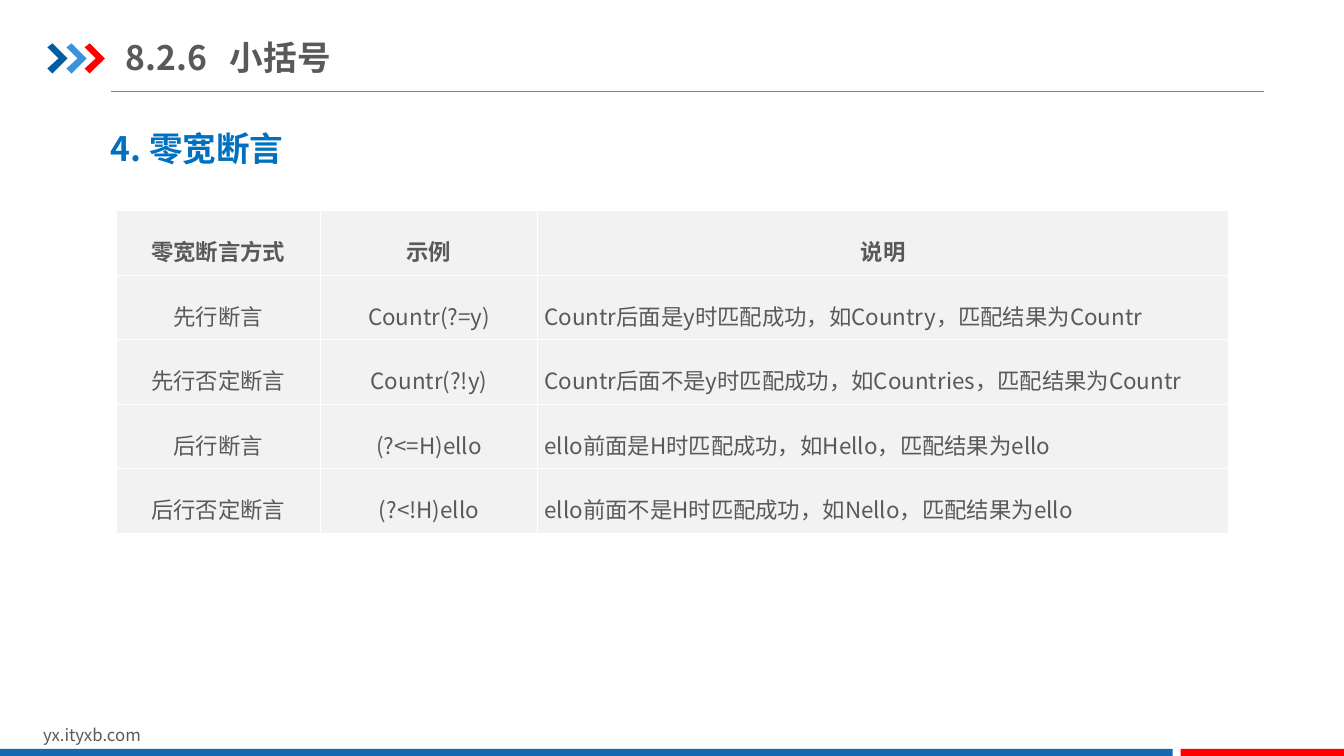
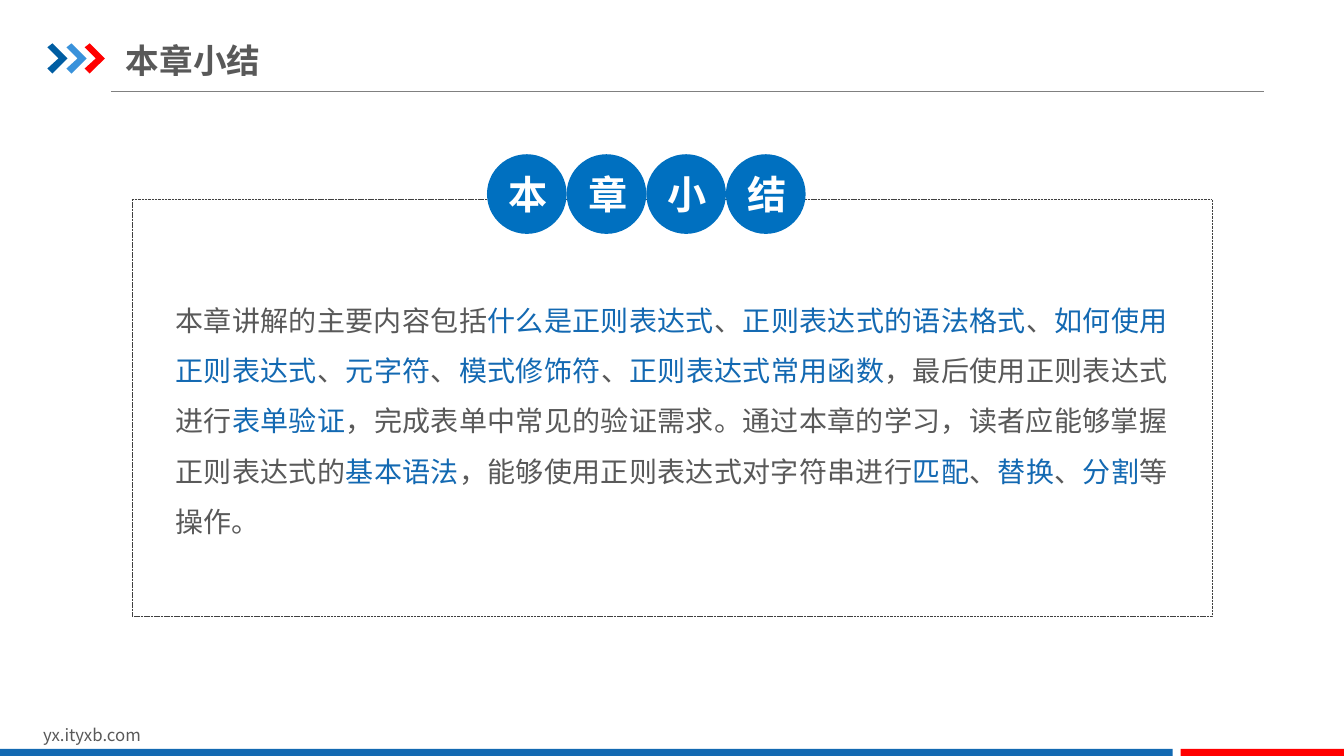
"""Build two lesson slides: zero-width assertions and the chapter summary."""
import dataclasses

import lxml.etree
import pptx
import pptx.dml.color
import pptx.enum.dml
import pptx.enum.shapes
import pptx.enum.text
import pptx.oxml.ns
import pptx.util

SHAPE = pptx.enum.shapes.MSO_SHAPE
ALIGN = pptx.enum.text.PP_ALIGN
MIDDLE = pptx.enum.text.MSO_ANCHOR.MIDDLE
SCALE = 9144


@dataclasses.dataclass(frozen=True)
class Theme:
    """Colours, font and type sizes."""
    font: str = "Noto Sans CJK SC"
    ink: str = "595959"
    white: str = "FFFFFF"
    cell: str = "F2F2F2"
    rule: str = "808080"
    edge: str = "404040"
    navy: str = "005DA2"
    sky: str = "3992DB"
    red: str = "FF0000"
    band: str = "1369B2"
    blue: str = "0070C0"
    foot: int = 12
    grid: int = 16
    body: int = 20
    title: int = 24
    badge: int = 28


THEME = Theme()


def px(*lengths):
    """Turn px lengths into EMU."""
    return [pptx.util.Emu(length * SCALE) for length in lengths]


def rgb(code):
    """Turn a hex code into a colour."""
    return pptx.dml.color.RGBColor.from_string(code)


def child(parent, tag, **attrs):
    """Append a drawing element to its parent."""
    return lxml.etree.SubElement(parent, pptx.oxml.ns.qn(tag), **attrs)


def write(frame, text, *, size, color=THEME.ink, accent=THEME.band, bold=False,
          align=ALIGN.LEFT, space=1.0, tab=None):
    """Write one paragraph; pieces between bars take the accent colour."""
    para = frame.paragraphs[0]
    if tab:
        stops = child(para._p.get_or_add_pPr(), "a:tabLst")
        child(stops, "a:tab", pos=str(px(tab)[0]), algn="l")
    para.alignment = align
    para.line_spacing = space
    for index, piece in enumerate(text.split("|")):
        run = para.add_run()
        run.text = piece
        run.font.size = pptx.util.Pt(size)
        run.font.bold = bold
        run.font.color.rgb = rgb(accent if index % 2 else color)
        run.font.name = THEME.font
        child(run.font._element, "a:ea", typeface=THEME.font)


class Deck:
    """Holds the theme and the current slide."""

    def __init__(self, theme):
        """Start an empty wide deck."""
        self.theme = theme
        self.show = pptx.Presentation()
        self.show.slide_width, self.show.slide_height = px(1333, 750)
        self.slide = None

    def page(self, title, top, high, tab=None):
        """Add a slide with its shared frame and title."""
        theme = self.theme
        self.slide = self.show.slides.add_slide(self.show.slide_layouts[6])
        self.rule(110, 91, 1254)
        self.marks()
        self.text("yx.ityxb.com", 33, 714, 318, 30, size=theme.foot)
        self.shape(SHAPE.RECTANGLE, 0, 743, 1163, 9, fill=theme.band)
        self.shape(SHAPE.RECTANGLE, 1171, 743, 163, 9, fill=theme.red)
        self.text(title, 125, top, 526, high, inset=(0, 7), anchor=MIDDLE,
                  size=theme.title, bold=True, tab=tab)

    def rule(self, left, top, right):
        """Draw a thin level line."""
        line = self.slide.shapes.add_connector(
            pptx.enum.shapes.MSO_CONNECTOR.STRAIGHT, *px(left, top, right, top))
        line.line.color.rgb = rgb(self.theme.rule)
        line.line.width = pptx.util.Pt(0.75)
        child(line._element.spPr, "a:effectLst")

    def marks(self):
        """Draw the three chevrons by the title."""
        theme = self.theme
        group = self.slide.shapes.add_group_shape()
        for left, color in ((47, theme.navy), (66, theme.sky), (84, theme.red)):
            pen = group.shapes.build_freeform(left, 47, scale=SCALE)
            pen.add_line_segments([(left + x, y) for x, y in (
                (5, 43), (20, 58), (5, 73), (0, 68), (11, 58))], close=True)
            self.paint(pen.convert_to_shape(), color)

    def paint(self, shape, fill=None, edge=None):
        """Set the fill and outline of a shape."""
        shape.shadow.inherit = False
        if fill:
            shape.fill.solid()
            shape.fill.fore_color.rgb = rgb(fill)
        else:
            shape.fill.background()
        if edge:
            shape.line.color.rgb = rgb(edge)
            shape.line.width = pptx.util.Pt(0.25)
            shape.line.dash_style = pptx.enum.dml.MSO_LINE.SQUARE_DOT
        else:
            shape.line.fill.background()

    def shape(self, kind, *box, fill=None, edge=None, text=None, **style):
        """Add a preset shape, with text if given."""
        shape = self.slide.shapes.add_shape(kind, *px(*box))
        self.paint(shape, fill, edge)
        if text:
            shape.text_frame.vertical_anchor = MIDDLE
            write(shape.text_frame, text, align=ALIGN.CENTER, **style)

    def text(self, text, *box, inset=(10, 5), anchor=None, **style):
        """Add a wrapped text box."""
        frame = self.slide.shapes.add_textbox(*px(*box)).text_frame
        frame.word_wrap = True
        frame.margin_left, frame.margin_top = px(*inset)
        frame.margin_right, frame.margin_bottom = px(*inset)
        frame.vertical_anchor = anchor
        write(frame, text, **style)

    def table(self, rows, left, top, widths, high):
        """Add a plain grid with a bold first row."""
        grid = self.slide.shapes.add_table(
            len(rows), len(widths),
            *px(left, top, sum(widths), high * len(rows))).table
        grid.horz_banding = False
        for column, width in zip(grid.columns, px(*widths)):
            column.width = width
        for r, row in enumerate(rows):
            for c, text in enumerate(row):
                level = r and c == len(row) - 1
                self.cell(grid.cell(r, c), text, bold=r == 0,
                          align=ALIGN.LEFT if level else ALIGN.CENTER)

    def cell(self, cell, text, **style):
        """Fill, border and write one cell."""
        props = cell._tc.get_or_add_tcPr()
        for tag in ("a:lnL", "a:lnR", "a:lnT", "a:lnB"):
            solid = child(child(props, tag, w="12700"), "a:solidFill")
            child(solid, "a:srgbClr", val=self.theme.white)
        cell.fill.solid()
        cell.fill.fore_color.rgb = rgb(self.theme.cell)
        cell.margin_left, cell.margin_right = px(7, 7)
        cell.margin_top, cell.margin_bottom = px(0, 0)
        cell.vertical_anchor = MIDDLE
        write(cell.text_frame, text, size=self.theme.grid, space=1.5, **style)


ROWS = (
    ("零宽断言方式", "示例", "说明"),
    ("先行断言", "Countr(?=y)", "Countr后面是y时匹配成功，如Country，匹配结果为Countr"),
    ("先行否定断言", "Countr(?!y)", "Countr后面不是y时匹配成功，如Countries，匹配结果为Countr"),
    ("后行断言", "(?<=H)ello", "ello前面是H时匹配成功，如Hello，匹配结果为ello"),
    ("后行否定断言", "(?<!H)ello", "ello前面不是H时匹配成功，如Nello，匹配结果为ello"),
)
RECAP = (
    "本章讲解的主要内容包括|什么是正则表达式|、|正则表达式的语法格式|、|如何使用正则表达式|、"
    "|元字符|、|模式修饰符|、|正则表达式常用函数|，最后使用正则表达式进行|表单验证|，"
    "完成表单中常见的验证需求。通过本章的学习，读者应能够掌握正则表达式的|基本语法|，"
    "能够使用正则表达式对字符串进行|匹配|、|替换|、|分割|等操作。"
)


def main():
    """Build and save the deck."""
    deck = Deck(THEME)

    deck.page("8.2.6\t小括号", 29, 55, tab=103)
    deck.table(ROWS, 115, 209, (203, 215, 686), 64)
    deck.text("4. 零宽断言", 100, 122, 661, 50,
              size=THEME.title, color=THEME.blue, bold=True)

    deck.page("本章小结", 36, 48)
    deck.shape(SHAPE.RECTANGLE, 131, 198, 1071, 413, edge=THEME.edge)
    deck.text(RECAP, 174, 284, 984, 252, inset=(0, 0), size=THEME.body,
              align=ALIGN.JUSTIFY, space=1.5)
    for index, sign in enumerate("本章小结"):
        deck.shape(SHAPE.OVAL, 483 + 79 * index, 153, 79, 79, fill=THEME.blue,
                   text=sign, size=THEME.badge, color=THEME.white, bold=True)

    deck.show.save("out.pptx")


if __name__ == "__main__":
    main()
